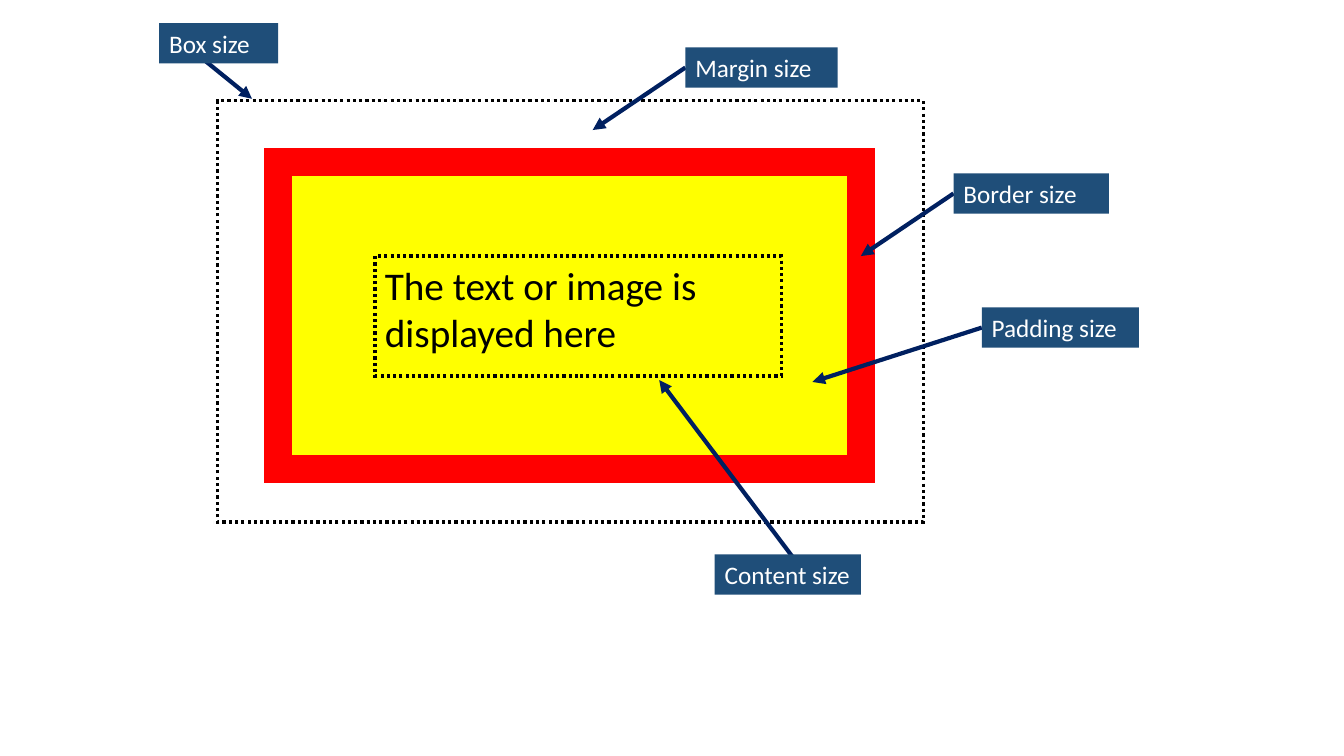
from dataclasses import dataclass

from lxml import etree
from pptx import Presentation
from pptx import util as u
from pptx.dml.color import RGBColor
from pptx.enum import dml, shapes, text
from pptx.oxml import ns


@dataclass(frozen=True)
class Theme:
    font: str = "Calibri"
    ink: str = "000000"
    label: str = "1F4E79"
    label_text: str = "FFFFFF"
    arrow: str = "002060"
    border: str = "FF0000"
    padding: str = "FFFF00"
    content_size: int = 28
    label_size: int = 18
    dotted_width: float = 2.25
    arrow_width: int = 3
    border_width: int = 20


theme = Theme()
prs = Presentation()
prs.slide_width, prs.slide_height = u.Inches(13.33), u.Inches(7.5)
slide = prs.slides.add_slide(prs.slide_layouts[6])


def place(left, top, width, height):
    across, down = prs.slide_width / 100, prs.slide_height / 100
    return [round(v) for v in (left * across, top * down, width * across, height * down)]


def write(shape, words, size, color):
    frame = shape.text_frame
    frame.word_wrap = True
    frame.vertical_anchor = text.MSO_ANCHOR.TOP
    paragraph = frame.paragraphs[0]
    paragraph.alignment = text.PP_ALIGN.LEFT
    run = paragraph.add_run()
    run.text = words
    run.font.name = theme.font
    run.font.size = u.Pt(size)
    run.font.color.rgb = RGBColor.from_string(color)


content_area = (27.9, 33.87, 30.23, 15.87)
box_layers = [
    ((16.2, 13.33, 52.5, 55.73), None, theme.ink, theme.dotted_width),
    ((20.7, 21.47, 43.35, 40.53), theme.padding, theme.border, theme.border_width),
    (content_area, None, theme.ink, theme.dotted_width),
]
for area, fill, outline, width in box_layers:
    layer = slide.shapes.add_shape(shapes.MSO_SHAPE.RECTANGLE, *place(*area))
    layer.shadow.inherit = False
    layer.line.color.rgb = RGBColor.from_string(outline)
    layer.line.width = u.Pt(width)
    if fill:
        layer.fill.solid()
        layer.fill.fore_color.rgb = RGBColor.from_string(fill)
    else:
        layer.fill.background()
        layer.line.dash_style = dml.MSO_LINE.ROUND_DOT
    etree.SubElement(layer.line._get_or_add_ln(), ns.qn("a:miter"), lim="800000")

content = slide.shapes.add_textbox(*place(*content_area[:3], 13.87))
write(content, "The text or image is displayed here", theme.content_size, theme.ink)

label_height = 5.33
left_middle = (0, 0.5)
labels = [
    ("Margin size", 51, 6.27, 11.33, left_middle, (44.1, 17.2)),
    ("Border size", 70.95, 22.93, 11.55, left_middle, (64.05, 33.87)),
    ("Padding size", 73.05, 40.67, 11.7, left_middle, (60.45, 50.53)),
    ("Box size", 11.85, 3.07, 8.85, (0.33, 0.8), (18.75, 13.07)),
    ("Content size", 53.18, 73.33, 10.88, (0.54, 0.1), (49.05, 50.27)),
]
for words, left, top, width, (across, down), target in labels:
    start = (left + across * width, top + down * label_height)
    arrow = slide.shapes.add_connector(shapes.MSO_CONNECTOR.STRAIGHT, *place(*start, *target))
    arrow.line.color.rgb = RGBColor.from_string(theme.arrow)
    arrow.line.width = u.Pt(theme.arrow_width)
    etree.SubElement(arrow.line._get_or_add_ln(), ns.qn("a:tailEnd"), type="triangle")
    etree.SubElement(arrow._element.spPr, ns.qn("a:effectLst"))

    label = slide.shapes.add_shape(
        shapes.MSO_SHAPE.RECTANGLE, *place(left, top, width, label_height)
    )
    label.shadow.inherit = False
    label.fill.solid()
    label.fill.fore_color.rgb = RGBColor.from_string(theme.label)
    label.line.fill.background()
    write(label, words, theme.label_size, theme.label_text)

prs.save("out.pptx")
